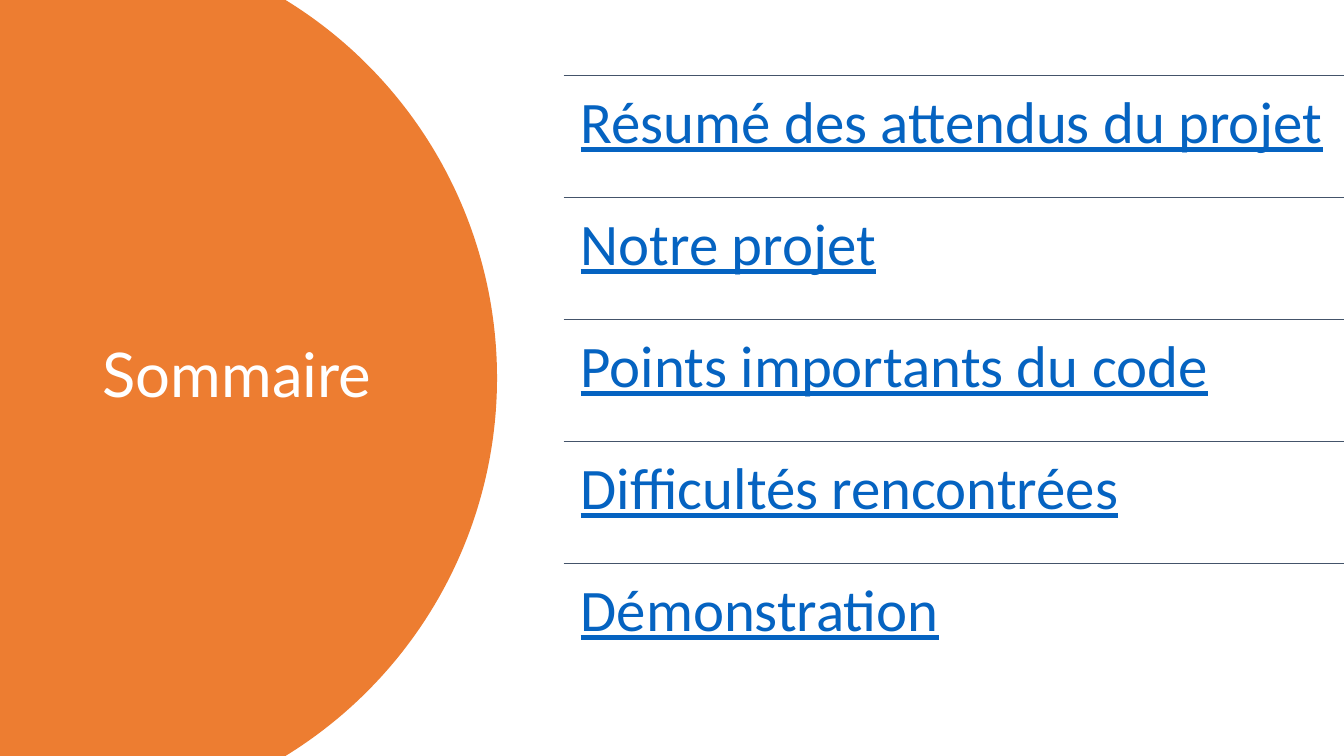
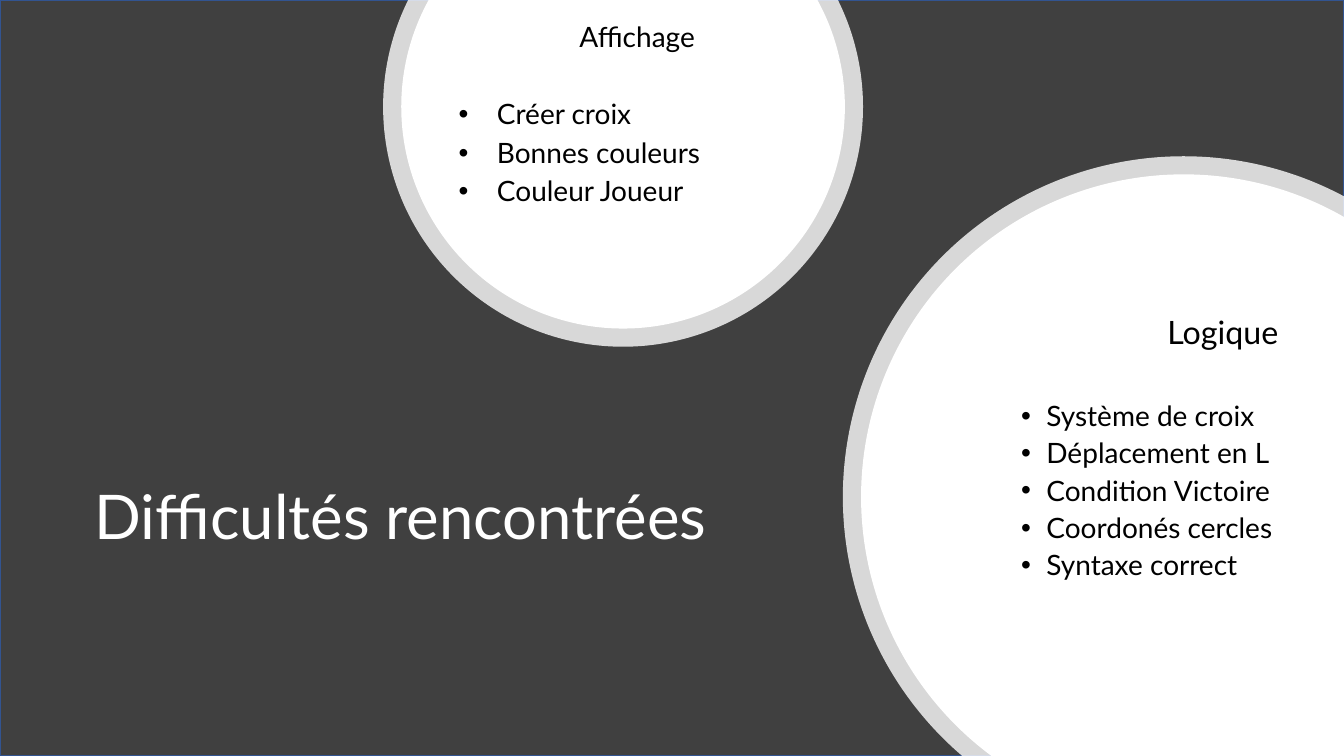
import math

import pptx
import pptx.util
import pptx.dml.color
import pptx.enum.shapes
import pptx.enum.text
import pptx.oxml
import pptx.oxml.ns

Inches = pptx.util.Inches
Pt = pptx.util.Pt
RGBColor = pptx.dml.color.RGBColor
PP_ALIGN = pptx.enum.text.PP_ALIGN
MSO_ANCHOR = pptx.enum.text.MSO_ANCHOR
qn = pptx.oxml.ns.qn

ORANGE = RGBColor(0xED, 0x7D, 0x31)
WHITE = RGBColor(0xFF, 0xFF, 0xFF)
BLACK = RGBColor(0x00, 0x00, 0x00)
CHARCOAL = RGBColor(0x40, 0x40, 0x40)
FRAME_BLUE = RGBColor(0x32, 0x54, 0x91)
RULE_BLUE = RGBColor(0x44, 0x54, 0x6A)
LINK_BLUE = RGBColor(0x05, 0x63, 0xC1)

SLIDE_W, SLIDE_H = 13.33, 7.5
TITLE_FONT, ROW_FONT = "Lato", "Calibri"
LINE_SPACING = 0.9
RING_WIDTH = 0.18

AGENDA = [
    "Résumé des attendus du projet",
    "Notre projet",
    "Points importants du code",
    "Difficultés rencontrées",
    "Démonstration",
]
DISPLAY_ISSUES = ["Créer croix", "Bonnes couleurs", "Couleur Joueur"]
LOGIC_ISSUES = [
    "Système de croix",
    "Déplacement en L",
    "Condition Victoire",
    "Coordonés cercles",
    "Syntaxe correct",
]


def add_xml(parent, tag, **attrs):
    child = parent.makeelement(qn(tag), attrs)
    parent.append(child)
    return child


def add_text_frame(slide, box, anchor, insets=(0.1, 0.05)):
    tf = slide.shapes.add_textbox(*map(Inches, box)).text_frame
    tf.word_wrap = True
    tf.vertical_anchor = anchor
    tf.margin_left = tf.margin_right = Inches(insets[0])
    tf.margin_top = tf.margin_bottom = Inches(insets[1])
    return tf


def add_run(p, text, size, color, font=TITLE_FONT, underline=None):
    p.line_spacing = LINE_SPACING
    r = p.add_run()
    r.text = text
    r.font.name = font
    r.font.size = Pt(size)
    r.font.color.rgb = color
    r.font.underline = underline


def set_indent(p, left, first=0):
    pPr = p._p.get_or_add_pPr()
    pPr.set("marL", str(Inches(left)))
    pPr.set("indent", str(Inches(first)))
    return pPr


def add_title(slide, text, box):
    tf = add_text_frame(slide, box, MSO_ANCHOR.MIDDLE)
    add_run(tf.paragraphs[0], text, 44, WHITE)


def circle_angles(cx, cy, radius):
    angles = {math.radians(a) for a in range(0, 361, 45)}
    for edge in (0, SLIDE_W):
        ratio = (edge - cx) / radius
        if abs(ratio) < 1:
            a = math.acos(ratio)
            angles |= {a, math.tau - a}
    for edge in (0, SLIDE_H):
        ratio = (edge - cy) / radius
        if abs(ratio) < 1:
            a = math.asin(ratio)
            angles |= {a % math.tau, math.pi - a}
    return sorted(angles)


def round_segment(line, sp, circle, start, end):
    cx, cy, radius = circle
    reach = 4 / 3 * math.tan((end - start) / 4)
    curve = line.makeelement(qn("a:cubicBezTo"), {})
    for a, k in ((start, reach), (end, -reach)):
        x = cx + radius * (math.cos(a) - k * math.sin(a))
        y = cy + radius * (math.sin(a) + k * math.cos(a))
        add_xml(curve, "a:pt", x=str(Inches(x) - sp.left),
                y=str(Inches(y) - sp.top))
    line.getparent().replace(line, curve)
    curve.append(line[0])


def add_clipped_circle(slide, circle, color, opacity=100):
    cx, cy, radius = circle

    def on_circle(a):
        return cx + radius * math.cos(a), cy + radius * math.sin(a)

    angles = circle_angles(*circle)
    points = []
    for a in angles:
        x, y = on_circle(a)
        points.append((Inches(min(max(x, 0), SLIDE_W)),
                       Inches(min(max(y, 0), SLIDE_H))))
    builder = slide.shapes.build_freeform(*points[0])
    builder.add_line_segments(points[1:], close=True)
    sp = builder.convert_to_shape()
    lines = list(sp._element.iter(qn("a:lnTo")))
    for line, start, end in zip(lines, angles, angles[1:]):
        x, y = on_circle((start + end) / 2)
        if 0 < x < SLIDE_W and 0 < y < SLIDE_H:
            round_segment(line, sp, circle, start, end)
    sp.shadow.inherit = False
    sp.fill.solid()
    sp.fill.fore_color.rgb = color
    sp.line.fill.background()
    if opacity < 100:
        clr = sp._element.spPr.find(".//" + qn("a:srgbClr"))
        add_xml(clr, "a:alpha", val=str(opacity * 1000))


def add_agenda(slide, items, box):
    left, top, width, height = box
    row_h = height / len(items)
    for i, item in enumerate(items):
        y = top + i * row_h
        rule = slide.shapes.add_connector(
            pptx.enum.shapes.MSO_CONNECTOR.STRAIGHT,
            Inches(left), Inches(y), Inches(left + width), Inches(y))
        rule.line.color.rgb = RULE_BLUE
        rule.line.width = Pt(1)
        add_xml(rule._element.spPr, "a:effectLst")
        tf = add_text_frame(slide, (left, y, width, row_h),
                            MSO_ANCHOR.TOP, (0.17, 0.17))
        add_run(tf.paragraphs[0], item, 42, LINK_BLUE, ROW_FONT, True)


def add_topic(slide, box, heading, heading_size, heading_indent, items,
              item_indent, hanging, first_gap, item_gap):
    tf = add_text_frame(slide, box, MSO_ANCHOR.TOP)
    p = tf.paragraphs[0]
    p.alignment = PP_ALIGN.CENTER
    set_indent(p, heading_indent)
    add_run(p, heading, heading_size, BLACK)
    for i, item in enumerate(items):
        p = tf.add_paragraph()
        p.space_before = Pt(item_gap if i else first_gap)
        add_run(p, item, 20, BLACK)
        pPr = set_indent(p, item_indent, -hanging)
        add_xml(pPr, "a:buFont", typeface="Arial")
        add_xml(pPr, "a:buChar", char="•")


def add_backdrop(slide):
    sp = slide.shapes.add_shape(
        pptx.enum.shapes.MSO_SHAPE.RECTANGLE,
        0, 0, Inches(SLIDE_W), Inches(SLIDE_H))
    sp.shadow.inherit = False
    sp.fill.solid()
    sp.fill.fore_color.rgb = CHARCOAL
    sp.line.color.rgb = FRAME_BLUE
    sp.line.width = Pt(1)


def build_summary(slide):
    add_clipped_circle(slide, (0.53, 3.75, 4.4), ORANGE)
    add_title(slide, "Sommaire", (0.92, 0.7, 3.23, 6.09))
    add_agenda(slide, AGENDA, (5.59, 0.75, SLIDE_W - 5.59, 6.05))


def build_difficulties(slide):
    add_backdrop(slide)
    add_title(slide, "Difficultés rencontrées", (0.84, 3.83, 6.62, 2.65))
    for cx, cy, radius in [(6.18, 1.06, 2.38), (11.74, 4.93, 3.38)]:
        add_clipped_circle(slide, (cx, cy, radius), WHITE, 80)
        add_clipped_circle(slide, (cx, cy, radius - RING_WIDTH), WHITE)
    add_topic(slide, (4.39, 0.18, 3.8, 2.2), "Affichage", 20, 0.06,
              DISPLAY_ISSUES, 0.44, 0.38, 33.6, 6)
    add_topic(slide, (9.53, 3.09, SLIDE_W - 9.53, 3), "Logique", 23, 1.4,
              LOGIC_ISSUES, 0.75, 0.25, 36.6, 5)


def main():
    prs = pptx.Presentation()
    prs.slide_width = Inches(SLIDE_W)
    prs.slide_height = Inches(SLIDE_H)
    for build in (build_summary, build_difficulties):
        build(prs.slides.add_slide(prs.slide_layouts[6]))
    prs.save("out.pptx")


if __name__ == "__main__":
    main()
